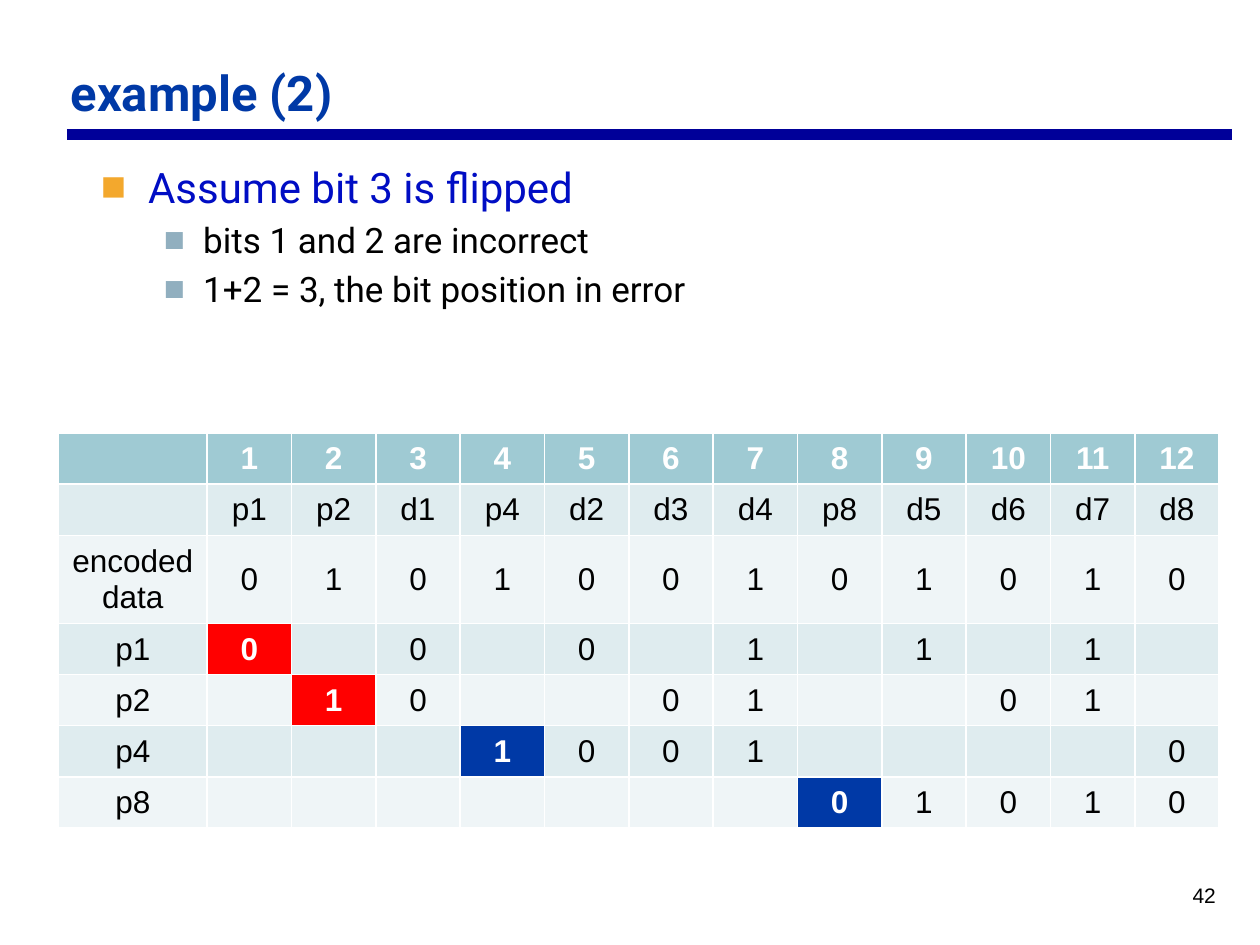
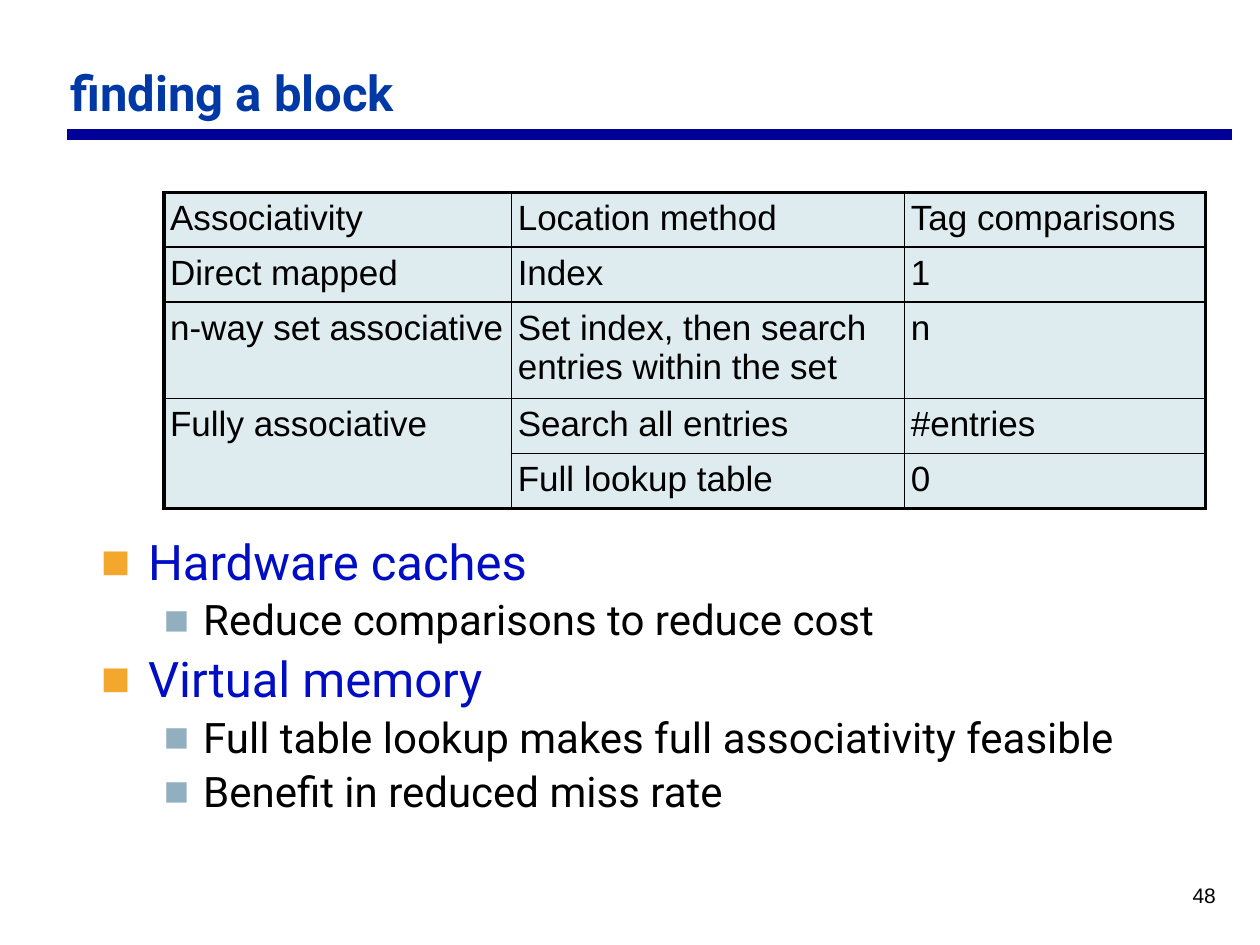
from lxml import etree
from pptx import Presentation
from pptx.dml.color import RGBColor
from pptx.enum.shapes import MSO_CONNECTOR
from pptx.enum.text import MSO_ANCHOR, PP_ALIGN
from pptx.oxml.ns import qn
from pptx.util import Pt

WHITE = RGBColor(0xFF, 0xFF, 0xFF)
BLACK = RGBColor(0x00, 0x00, 0x00)
TITLE_BLUE = RGBColor(0x00, 0x39, 0xA6)
RULE_NAVY = RGBColor(0x00, 0x00, 0x99)
TOPIC_BLUE = RGBColor(0x00, 0x0D, 0xC4)
TOPIC_BULLET = RGBColor(0xF3, 0xA8, 0x2D)
DETAIL_BULLET = RGBColor(0x91, 0xAF, 0xBF)
HEADER_TEAL = RGBColor(0x9F, 0xCA, 0xD3)
BAND_DARK = RGBColor(0xDF, 0xEC, 0xEF)
BAND_LIGHT = RGBColor(0xEF, 0xF5, 0xF7)
ERROR_RED = RGBColor(0xFF, 0x00, 0x00)

HEADING_FONT = "Roboto"
PLAIN_FONT = "Arial"
INSET = 3.6

LEVELS = [
    {"color": TOPIC_BLUE, "bullet": TOPIC_BULLET, "margin": 27, "hang": 27},
    {"color": BLACK, "bullet": DETAIL_BULLET, "margin": 58.5, "hang": 22.5},
]

PARITY_HEADER = [""] + [str(position) for position in range(1, 13)]
PARITY_ROWS = [
    [""] + "p1 p2 d1 p4 d2 d3 d4 p8 d5 d6 d7 d8".split(),
    ["encoded data"] + list("010100101010"),
    ["p1"] + list("0 0 0 1 1 1 "),
    ["p2"] + list(" 10  01  01 "),
    ["p4"] + list("   1001    0"),
    ["p8"] + list("       01010"),
]
PARITY_MARKS = {(3, 1): ERROR_RED, (4, 2): ERROR_RED, (5, 4): TITLE_BLUE, (6, 8): TITLE_BLUE}

LOOKUP_ROWS = [
    ["Associativity", "Location method", "Tag comparisons"],
    ["Direct mapped", "Index", "1"],
    ["n-way set associative", "Set index, then search entries within the set", "n"],
    ["Fully associative", "Search all entries", "#entries"],
    ["", "Full lookup table", "0"],
]


def set_font(font, name, size, color, bold=False):
    font.name = name
    font.size = Pt(size)
    font.color.rgb = color
    font.bold = bold


def set_insets(target, inset):
    target.margin_left = target.margin_right = Pt(inset)
    target.margin_top = target.margin_bottom = Pt(inset)


def add_text_box(slide, box, anchor=MSO_ANCHOR.TOP):
    frame = slide.shapes.add_textbox(*map(Pt, box)).text_frame
    frame.word_wrap = True
    frame.vertical_anchor = anchor
    set_insets(frame, INSET)
    return frame


def add_title(slide, box, text):
    paragraph = add_text_box(slide, box, MSO_ANCHOR.BOTTOM).paragraphs[0]
    paragraph.text = text
    set_font(paragraph.font, HEADING_FONT, 28, TITLE_BLUE, True)


def add_title_rule(slide, left, right, top):
    rule = slide.shapes.add_connector(MSO_CONNECTOR.STRAIGHT, Pt(left), Pt(top), Pt(right), Pt(top))
    rule.line.color.rgb = RULE_NAVY
    rule.line.width = Pt(6)
    etree.SubElement(rule._element.spPr, qn("a:effectLst"))


def add_page_number(slide, box, number):
    paragraph = add_text_box(slide, box, MSO_ANCHOR.MIDDLE).paragraphs[0]
    paragraph.text = str(number)
    paragraph.alignment = PP_ALIGN.RIGHT
    set_font(paragraph.font, PLAIN_FONT, 12, BLACK)


def set_bullet(paragraph, color, margin, hang):
    properties = paragraph._p.get_or_add_pPr()
    properties.set("marL", str(Pt(margin)))
    properties.set("indent", str(-Pt(hang)))
    bullet_color = etree.SubElement(properties, qn("a:buClr"))
    etree.SubElement(bullet_color, qn("a:srgbClr"), val=str(color))
    etree.SubElement(properties, qn("a:buFont"), typeface=PLAIN_FONT)
    etree.SubElement(properties, qn("a:buChar"), char="■")


def add_outline(slide, box, items, sizes, spaces, line_spacing=1.0):
    frame = add_text_box(slide, box)
    for index, (level, text) in enumerate(items):
        style = LEVELS[level]
        paragraph = frame.add_paragraph() if index else frame.paragraphs[0]
        paragraph.text = text
        paragraph.level = level
        paragraph.line_spacing = line_spacing
        paragraph.space_before = Pt(spaces[level] if index else 0)
        set_bullet(paragraph, style["bullet"], style["margin"], style["hang"])
        set_font(paragraph.font, HEADING_FONT, sizes[level], style["color"])


def set_borders(cell, color, widths):
    properties = cell._tc.get_or_add_tcPr()
    for side, width in zip("LRTB", widths):
        line = etree.SubElement(properties, qn(f"a:ln{side}"), w=str(Pt(width)))
        fill = etree.SubElement(line, qn("a:solidFill"))
        etree.SubElement(fill, qn("a:srgbClr"), val=str(color))


def add_plain_table(slide, left, top, column_widths, row_heights):
    table = slide.shapes.add_table(
        len(row_heights), len(column_widths), Pt(left), Pt(top),
        Pt(sum(column_widths)), Pt(sum(row_heights)),
    ).table
    table.first_row = table.horz_banding = False
    for column, width in zip(table.columns, column_widths):
        column.width = Pt(width)
    for row, height in zip(table.rows, row_heights):
        row.height = Pt(height)
    return table


def fill_cell(cell, text, size, fill, color=BLACK, bold=False):
    set_insets(cell, INSET)
    cell.fill.solid()
    cell.fill.fore_color.rgb = fill
    paragraph = cell.text_frame.paragraphs[0]
    paragraph.text = text
    set_font(paragraph.font, PLAIN_FONT, size, color, bold)
    return paragraph


def add_parity_table(slide, left, top):
    heights = [29.2, 29.2, 50.4] + [29.2] * 4
    table = add_plain_table(slide, left, top, [85] + [48.2] * 12, heights)
    for row, values in enumerate([PARITY_HEADER] + PARITY_ROWS):
        band = HEADER_TEAL if row == 0 else BAND_DARK if row % 2 else BAND_LIGHT
        for column, value in enumerate(values):
            cell = table.cell(row, column)
            mark = PARITY_MARKS.get((row, column))
            strong = row == 0 or mark is not None
            set_borders(cell, WHITE, [1] * 4)
            cell.vertical_anchor = MSO_ANCHOR.MIDDLE
            paragraph = fill_cell(cell, value.strip(), 18, mark or band, WHITE if strong else BLACK, strong)
            paragraph.alignment = PP_ALIGN.CENTER


def add_lookup_table(slide, left, top):
    table = add_plain_table(slide, left, top, [198.7, 224.6, 172.1], [31.3, 31.3, 55, 31.3, 31.3])
    last_row, last_column = len(LOOKUP_ROWS) - 1, len(LOOKUP_ROWS[0]) - 1
    row_lines = [2.25, 1.5] + [1] * (last_row - 1) + [2.25]
    column_lines = [2.25] + [1] * last_column + [2.25]
    table.cell(last_row - 1, 0).merge(table.cell(last_row, 0))
    for row, values in enumerate(LOOKUP_ROWS):
        for column, value in enumerate(values):
            cell = table.cell(row, column)
            bottom = row + (cell.span_height if cell.is_merge_origin else 1)
            set_borders(cell, BLACK, [*column_lines[column:column + 2], row_lines[row], row_lines[bottom]])
            fill_cell(cell, value, 20, BAND_DARK)


def add_base_slide(presentation, title, number):
    slide = presentation.slides.add_slide(presentation.slide_layouts[6])
    add_title_rule(slide, 38.2, 704.2, 77)
    add_title(slide, (36.7, 31.7, 650, 41), title)
    add_page_number(slide, (530.6, 497.2, 167.8, 28.8), number)
    return slide


def add_example_slide(presentation):
    slide = add_base_slide(presentation, "example (2)", 42)
    items = [
        (0, "Assume bit 3 is flipped"),
        (1, "bits 1 and 2 are incorrect"),
        (1, "1+2 = 3, the bit position in error"),
    ]
    add_outline(slide, (54, 88.6, 651.6, 136), items, (24, 20), (6, 4))
    add_parity_table(slide, 33.4, 247.5)


def add_block_slide(presentation):
    slide = add_base_slide(presentation, "finding a block", 48)
    items = [
        (0, "Hardware caches"),
        (1, "Reduce comparisons to reduce cost"),
        (0, "Virtual memory"),
        (1, "Full table lookup makes full associativity feasible"),
        (1, "Benefit in reduced miss rate"),
    ]
    add_outline(slide, (54, 303.8, 651.6, 187.2), items, (28, 24), (6, 5), 0.9)
    add_lookup_table(slide, 93.6, 110)


def main():
    presentation = Presentation()
    presentation.slide_width = Pt(720)
    presentation.slide_height = Pt(540)
    add_example_slide(presentation)
    add_block_slide(presentation)
    presentation.save("out.pptx")


if __name__ == "__main__":
    main()
